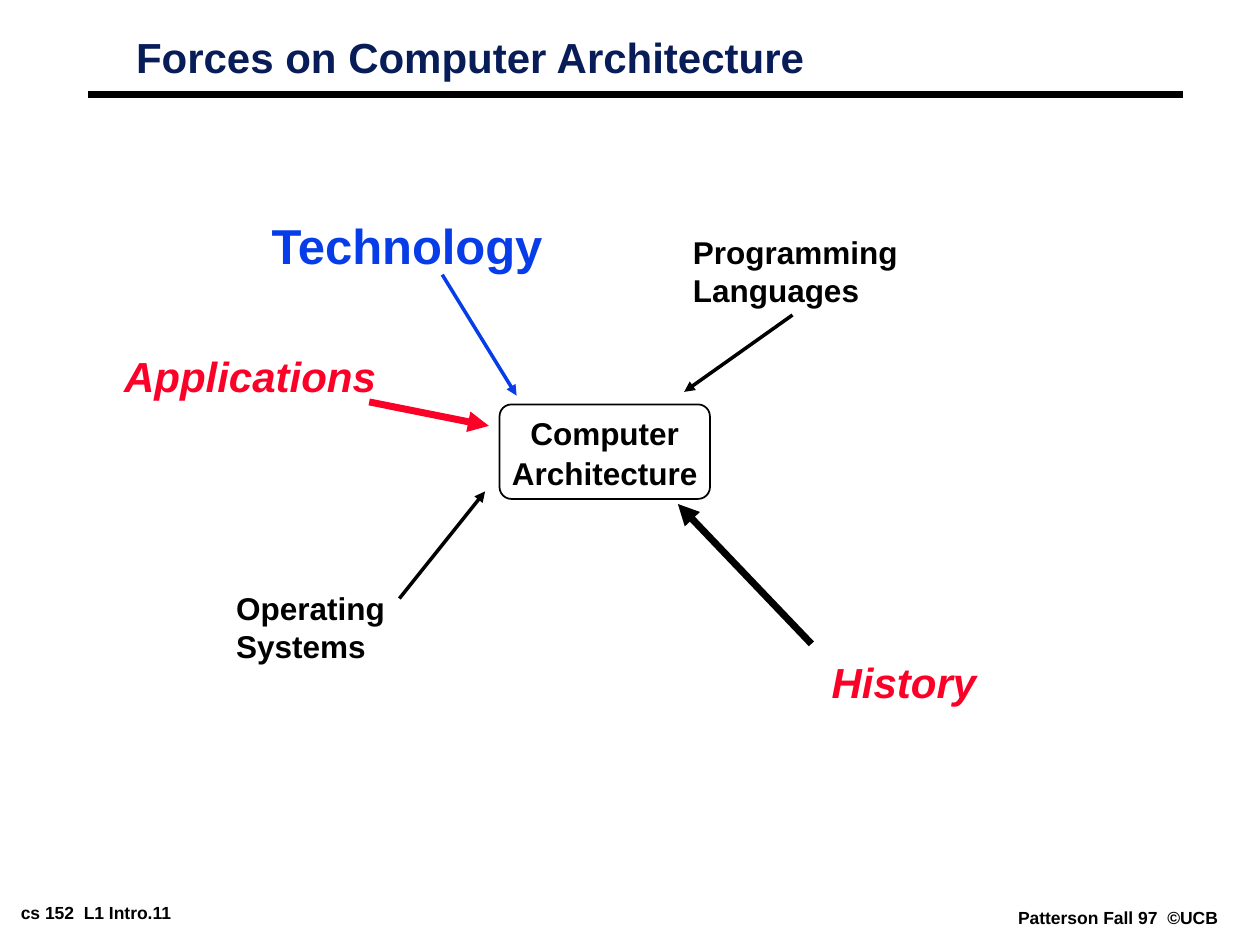
from dataclasses import dataclass

from lxml import etree
from pptx import Presentation
from pptx import util as u
from pptx.dml.color import RGBColor
from pptx.enum import shapes, text
from pptx.oxml import ns

COLUMNS, ROWS = 100, 75
WIDTH, HEIGHT = u.Inches(10), u.Inches(7.5)
BLACK, NAVY, BLUE, RED = "000000", "081D58", "063DE8", "FC0128"
LINE_PITCH = 2.97
FRAME = {
    "margin_left": u.Inches(0.07),
    "margin_right": u.Inches(0.07),
    "margin_top": u.Inches(0.03),
    "margin_bottom": u.Inches(0.03),
    "word_wrap": False,
}


@dataclass
class Label:
    words: str
    column: float
    row: float
    columns: float
    rows: float
    size: float = 18
    color: str = BLACK
    italic: bool = False
    spacing: float = 1.02


@dataclass
class Line:
    start: tuple[float, float]
    end: tuple[float, float]
    width: float = 2
    color: str = BLACK
    arrow: bool = True


LABELS = [
    Label("cs 152  L1 Intro.11", 0.95, 71.25, 18.5, 2.2, 10, spacing=1),
    Label("Patterson Fall 97  ©UCB", 80.1, 71.65, 17.3, 2.2, 10, spacing=1),
    Label("Forces on Computer Architecture", 10.1, 2.75, 54.6, 4, 24, NAVY, spacing=0.87),
    Label("Technology", 20.85, 16.75, 23.2, 5.3, 28, BLUE),
    Label("Programming", 54.3, 18.15, 17.7, 3.6),
    Label("Languages", 54.3, 18.15 + LINE_PITCH, 14.6, 3.6),
    Label("Operating", 18.05, 46.4, 13.3, 3.6),
    Label("Systems", 18.05, 46.4 + LINE_PITCH, 11.7, 3.6),
    Label("History", 65.3, 52.05, 12.9, 4.4, 24, RED, True, 0.97),
    Label("Applications", 9.15, 27.45, 21.4, 4.6, 24, RED, True),
]
CENTER = Label("Computer\nArchitecture", 39.65, 32.1, 16.7, 7.5, spacing=1.06)
LINES = [
    Line((7, 7.5), (93.9, 7.5), 4.5, arrow=False),
    Line((29.3, 31.9), (38.8, 33.8), 4, RED),
    Line((31.7, 47.5), (38.5, 39)),
    Line((35.1, 21.8), (41, 31.4), color=BLUE),
    Line((62.9, 25), (54.3, 31.1)),
    Line((64.4, 51.1), (53.8, 40), 4),
]


def x(column: float) -> int:
    return round(WIDTH * column / COLUMNS)


def y(row: float) -> int:
    return round(HEIGHT * row / ROWS)


def paint(target, color: str) -> None:
    target.rgb = RGBColor.from_string(color)


def place(label: Label) -> tuple[int, int, int, int]:
    return x(label.column), y(label.row), x(label.columns), y(label.rows)


def write(shape, label: Label, align, layout: dict) -> None:
    frame = shape.text_frame
    for name, value in {**FRAME, **layout}.items():
        setattr(frame, name, value)
    frame.text = label.words
    for para in frame.paragraphs:
        para.alignment = align
        para.line_spacing = label.spacing
        for span in para.runs:
            style = {"name": "Arial", "size": u.Pt(label.size), "bold": True, "italic": label.italic}
            for name, value in style.items():
                setattr(span.font, name, value)
            paint(span.font.color, label.color)


def draw_label(page, label: Label) -> None:
    box = page.shapes.add_textbox(*place(label))
    layout = {
        "vertical_anchor": text.MSO_ANCHOR.TOP,
        "auto_size": text.MSO_AUTO_SIZE.SHAPE_TO_FIT_TEXT,
    }
    write(box, label, text.PP_ALIGN.LEFT, layout)


def draw_center(page, label: Label) -> None:
    box = page.shapes.add_shape(shapes.MSO_SHAPE.ROUNDED_RECTANGLE, *place(label))
    box.adjustments[0] = 0.125
    box.shadow.inherit = False
    box.fill.background()
    box.line.width = u.Pt(1)
    paint(box.line.color, BLACK)
    write(box, label, text.PP_ALIGN.CENTER, {"vertical_anchor": text.MSO_ANCHOR.MIDDLE})


def draw_line(page, line: Line) -> None:
    (left, top), (right, bottom) = line.start, line.end
    connector = page.shapes.add_connector(
        shapes.MSO_CONNECTOR.STRAIGHT, x(left), y(top), x(right), y(bottom)
    )
    connector.line.width = u.Pt(line.width)
    paint(connector.line.color, line.color)
    if line.arrow:
        etree.SubElement(connector.get_or_add_ln(), ns.qn("a:tailEnd"), type="triangle")
    etree.SubElement(connector._element.spPr, ns.qn("a:effectLst"))


def main() -> None:
    deck = Presentation()
    deck.slide_width, deck.slide_height = WIDTH, HEIGHT
    page = deck.slides.add_slide(deck.slide_layouts[6])
    draw_center(page, CENTER)
    for label in LABELS:
        draw_label(page, label)
    for line in LINES:
        draw_line(page, line)
    deck.save("out.pptx")


if __name__ == "__main__":
    main()
